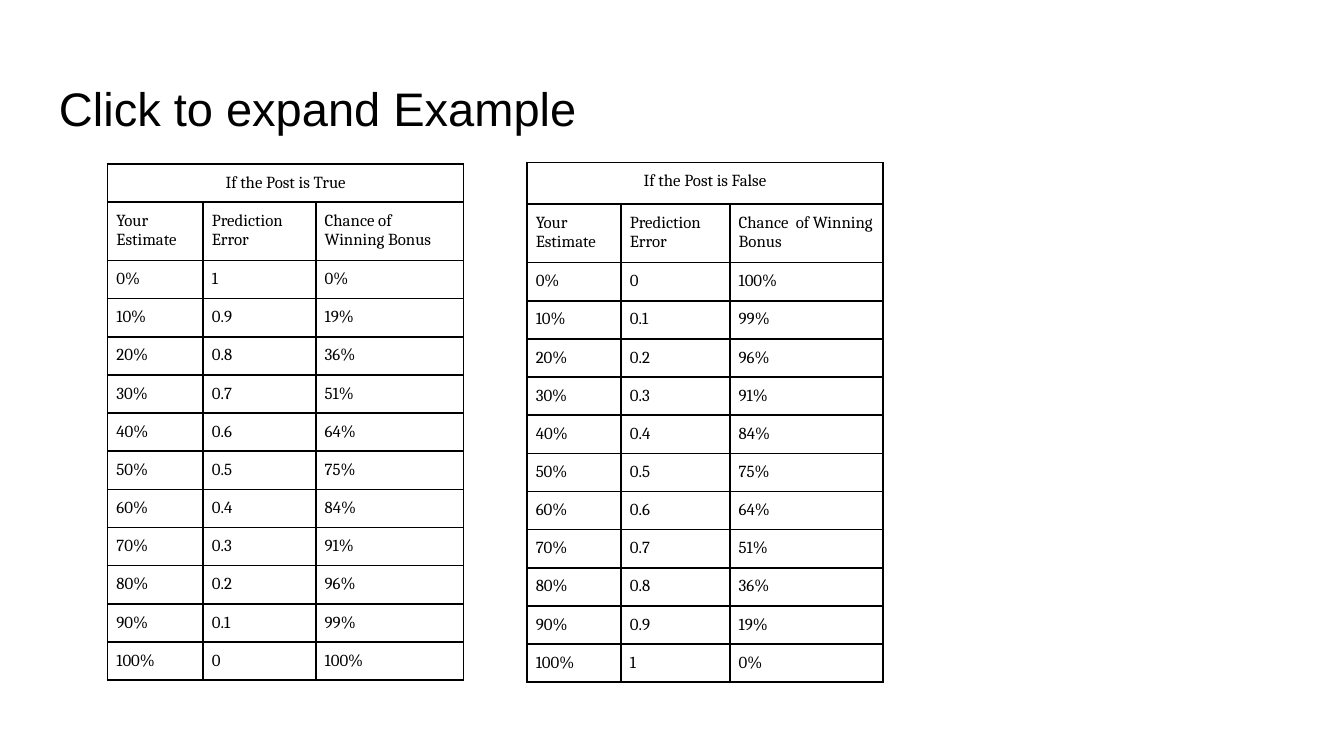
from dataclasses import dataclass

from lxml import etree
from pptx import Presentation
from pptx.dml.color import RGBColor
from pptx.enum.text import MSO_ANCHOR, PP_ALIGN
from pptx.oxml.ns import qn
from pptx.util import Inches, Pt

LEFT, CENTER = PP_ALIGN.LEFT, PP_ALIGN.CENTER
TOP, MIDDLE = MSO_ANCHOR.TOP, MSO_ANCHOR.MIDDLE


@dataclass(frozen=True)
class Theme:
    ink: str = "000000"
    title_font: str = "Arial"
    title_size: float = 25.2
    table_font: str = "Cambria"
    table_size: float = 9
    border_width: float = 1
    title_inset: float = 0.1
    cell_inset: float = 1 / 15
    row_height: float = 0.28
    heading_height: float = 0.43


THEME = Theme()


def write_text(text_frame, text, font_name, size, alignment=LEFT):
    text_frame.text = text
    paragraph = text_frame.paragraphs[0]
    paragraph.alignment = alignment
    font = paragraph.runs[0].font
    font.name = font_name
    font.size = Pt(size)
    font.color.rgb = RGBColor.from_string(THEME.ink)


def set_margins(target, inset):
    target.margin_left = target.margin_right = Inches(inset)
    target.margin_top = target.margin_bottom = Inches(inset)


def add_borders(cell):
    properties = cell._tc.get_or_add_tcPr()
    for position, side in enumerate(("lnL", "lnR", "lnT", "lnB")):
        line = etree.Element(qn(f"a:{side}"), w=str(Pt(THEME.border_width)))
        fill = etree.SubElement(line, qn("a:solidFill"))
        etree.SubElement(fill, qn("a:srgbClr"), val=THEME.ink)
        properties.insert(position, line)


def add_title(slide, box, text):
    shape = slide.shapes.add_textbox(*map(Inches, box))
    text_frame = shape.text_frame
    text_frame.word_wrap = True
    text_frame.vertical_anchor = MIDDLE
    set_margins(text_frame, THEME.title_inset)
    write_text(text_frame, text, THEME.title_font, THEME.title_size)


def estimate_rows(post_is_true):
    rows = []
    for estimate in range(0, 101, 10):
        error = 100 - estimate if post_is_true else estimate
        chance = 100 - error * error // 100
        rows.append((f"{estimate}%", f"{error / 100:g}", f"{chance}%"))
    return rows


def add_bonus_table(slide, box, column_widths, top_row_height, caption, headings, rows):
    lines = [(caption, "", ""), headings, *rows]
    frame = slide.shapes.add_table(len(lines), len(headings), *map(Inches, box))
    table = frame.table
    table.first_row = table.horz_banding = False
    for column, width in zip(table.columns, column_widths):
        column.width = Inches(width)
    heights = [top_row_height, THEME.heading_height] + [THEME.row_height] * len(rows)
    for row, height, texts in zip(table.rows, heights, lines):
        row.height = Inches(height)
        for cell, text in zip(row.cells, texts):
            cell.fill.background()
            cell.vertical_anchor = TOP
            set_margins(cell, THEME.cell_inset)
            add_borders(cell)
            if text:
                alignment = CENTER if text == caption else LEFT
                write_text(cell.text_frame, text, THEME.table_font, THEME.table_size, alignment)
    table.cell(0, 0).merge(table.cell(0, len(headings) - 1))


def build_example_slide(presentation):
    slide = presentation.slides.add_slide(presentation.slide_layouts[6])
    add_title(slide, (0.34, 0.49, 9.32, 0.63), "Click to expand Example")
    add_bonus_table(
        slide, (0.8, 1.22, 2.65, 3.91), (0.71, 0.84, 1.1), 0.28,
        "If the Post is True",
        ("Your Estimate", "Prediction Error", "Chance of Winning Bonus"),
        estimate_rows(True),
    )
    add_bonus_table(
        slide, (3.92, 1.21, 2.65, 3.92), (0.7, 0.81, 1.14), 0.31,
        "If the Post is False",
        ("Your Estimate", "Prediction Error", "Chance  of Winning Bonus"),
        estimate_rows(False),
    )


presentation = Presentation()
presentation.slide_width = Inches(10)
presentation.slide_height = Inches(10 * 9 / 16)
build_example_slide(presentation)
presentation.save("out.pptx")
